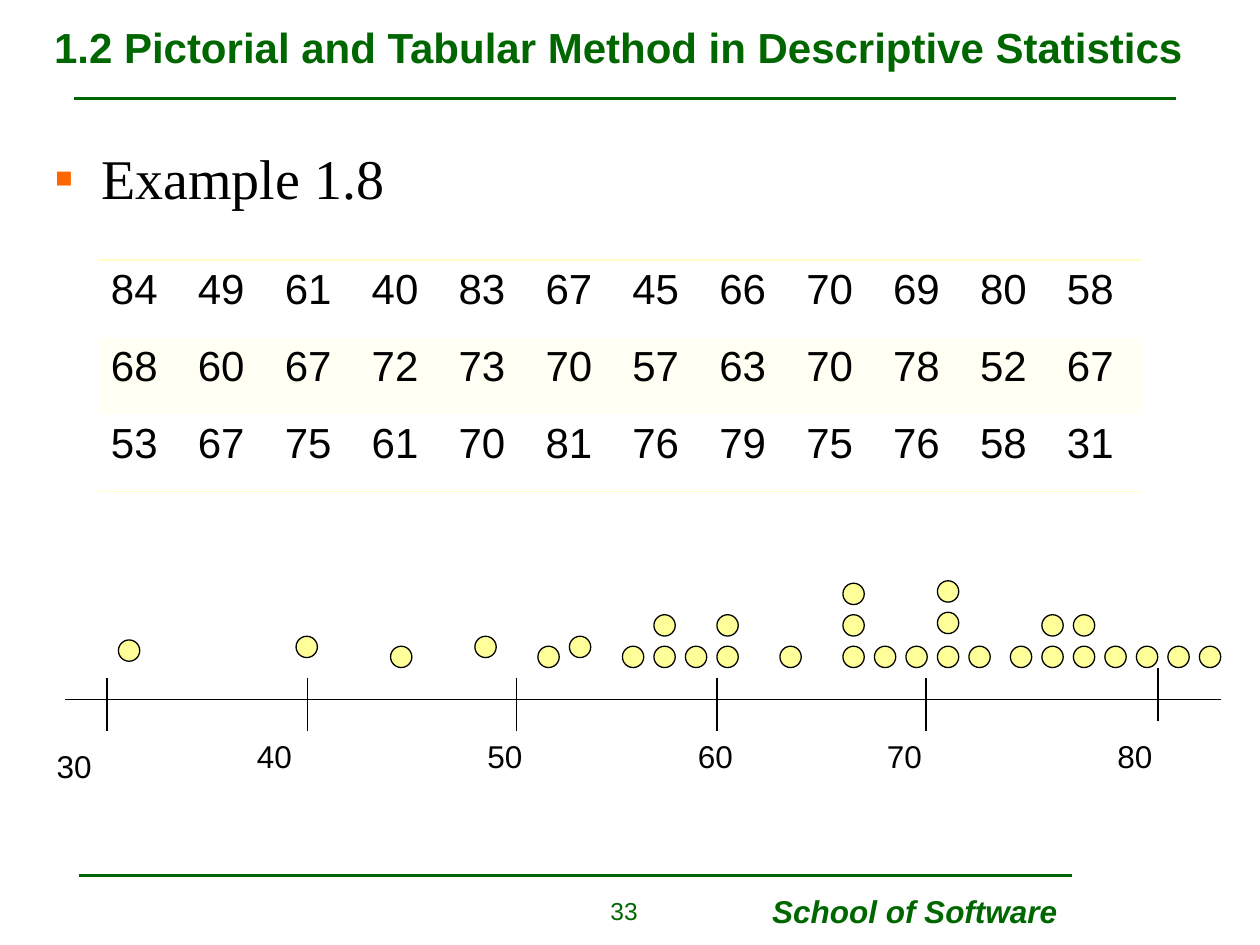
import pptx
import pptx.dml.color
import pptx.enum.shapes
import pptx.enum.text
import pptx.oxml
import pptx.oxml.ns
import pptx.util
from lxml import etree

Pt = pptx.util.Pt
qn = pptx.oxml.ns.qn
ALIGN = pptx.enum.text.PP_ALIGN
ANCHOR = pptx.enum.text.MSO_ANCHOR
AUTO_SIZE = pptx.enum.text.MSO_AUTO_SIZE
COLORS = {"green": "006600", "black": "000000", "bullet": "FF6600",
          "dot": "FFFF99", "band": "FFFFCA"}
SCORES = [
    [84, 49, 61, 40, 83, 67, 45, 66, 70, 69, 80, 58],
    [68, 60, 67, 72, 73, 70, 57, 63, 70, 78, 52, 67],
    [53, 67, 75, 61, 70, 81, 76, 79, 75, 76, 58, 31],
]
TICKS = [(36, 55.4), (150.5, 55.4), (270, 55.4), (384.5, 55.4), (504, 55.4), (636.5, 49.7)]
LABELS = [(0, 91.4), (114.5, 85.7), (246.2, 85.7), (366.5, 85.7), (474.5, 85.7), (606.2, 85.7)]
DOT_RUNS = [
    (42.5, 33.8, [1]), (144, 31.7, [1]), (198, 37.4, [1]), (246.2, 31.7, [1]),
    (282.2, 37.4, [1]), (300.2, 31.7, [1]),
    (330.5, 37.4, [1, 2, 1, 2, 0, 1, 0, 3, 1, 1, 1, 1]),
    (510.5, 18, [2]), (552.2, 37.4, [1, 2, 2, 1, 1, 1, 1]),
]
DOT_SIZE = 12.2
DOT_PITCH = 18


def rgb(name):
    """Return the named colour."""
    return pptx.dml.color.RGBColor.from_string(COLORS[name])


def add_span(para, text, size, color="black", font="Arial", bold=False, italic=False):
    """Add one styled run to a paragraph."""
    span = para.add_run()
    span.text = text
    span.font.name = font
    span.font.size = Pt(size)
    span.font.bold = bold
    span.font.italic = italic
    span.font.color.rgb = rgb(color)


def add_box(shapes, left, top, width, height, wrap=True):
    """Add an empty text box and return it with its first paragraph."""
    box = shapes.add_textbox(Pt(left), Pt(top), Pt(width), Pt(height))
    box.text_frame.word_wrap = wrap
    return box, box.text_frame.paragraphs[0]


def add_line(shapes, x1, y1, x2, y2, color, width):
    """Add a straight line without a shadow."""
    line = shapes.add_connector(pptx.enum.shapes.MSO_CONNECTOR.STRAIGHT,
                                Pt(x1), Pt(y1), Pt(x2), Pt(y2))
    line.line.color.rgb = rgb(color)
    line.line.width = Pt(width)
    etree.SubElement(line._element.spPr, qn("a:effectLst"))


def add_header(shapes, left, top, width, height):
    """Place the title and the rule below it."""
    box, para = add_box(shapes, left, top, width, height)
    box.text_frame.vertical_anchor = ANCHOR.MIDDLE
    add_span(para, "1.2 Pictorial and Tabular Method in Descriptive Statistics",
             24, "green", bold=True)
    add_line(shapes, left + 18.7, top + 54, left + 648, top + 54, "green", 1.5)


def add_footer(shapes, left, top, width):
    """Place the bottom rule, the slide number and the school name."""
    add_line(shapes, left, top, left + width, top, "green", 1.5)
    box, para = add_box(shapes, left + 252.7, top + 7.9, 73.4, 25.9)
    para.alignment = ALIGN.RIGHT
    add_span(para, "33", 14, "green")
    box, para = add_box(shapes, left + 388.8, top + 5.8, 180, 28.8, wrap=False)
    box.text_frame.auto_size = AUTO_SIZE.SHAPE_TO_FIT_TEXT
    add_span(para, "School of Software", 18, "green", bold=True, italic=True)


def add_body(shapes, left, top, width, height):
    """Place the bulleted example heading."""
    box, para = add_box(shapes, left, top, width, height)
    props = para._p.get_or_add_pPr()
    props.set("marL", str(Pt(27)))
    props.set("indent", str(Pt(-27)))
    color = etree.SubElement(props, qn("a:buClr"))
    etree.SubElement(color, qn("a:srgbClr"), val=COLORS["bullet"])
    etree.SubElement(props, qn("a:buFont"), typeface="Arial")
    etree.SubElement(props, qn("a:buChar"), char="▪")
    add_span(para, "Example 1.8", 32, font="Times New Roman")


def style_cell(cell, banded, edges):
    """Set the fill of a cell and draw its named edges."""
    props = cell._tc.get_or_add_tcPr()
    if banded:
        cell.fill.solid()
        cell.fill.fore_color.rgb = rgb("band")
        tint = props.find(".//" + qn("a:srgbClr"))
        etree.SubElement(tint, qn("a:alpha"), val="20000")
    else:
        cell.fill.background()
    for index, edge in enumerate(edges):
        border = etree.Element(qn("a:" + edge), w=str(Pt(0.75)))
        fill = etree.SubElement(border, qn("a:solidFill"))
        etree.SubElement(fill, qn("a:srgbClr"), val=COLORS["band"])
        props.insert(index, border)


def add_scores(shapes, left, top, width, height):
    """Place the table of scores."""
    rows, columns = len(SCORES), len(SCORES[0])
    table = shapes.add_table(rows, columns, Pt(left), Pt(top), Pt(width), Pt(height)).table
    table.first_row = False
    table.horz_banding = False
    style = table._tbl.tblPr.find(qn("a:tableStyleId"))
    style.text = "{2D5ABB26-0587-4C30-8999-92F81FD0307C}"
    edges = [["lnT"], [], ["lnB"]]
    for r, scores in enumerate(SCORES):
        for c, score in enumerate(scores):
            cell = table.cell(r, c)
            style_cell(cell, r == 1, edges[r])
            add_span(cell.text_frame.paragraphs[0], str(score), 24)


def add_dot(shapes, left, top):
    """Add one dot of the plot."""
    dot = shapes.add_shape(pptx.enum.shapes.MSO_SHAPE.OVAL,
                           Pt(left), Pt(top), Pt(DOT_SIZE), Pt(DOT_SIZE))
    dot.shadow.inherit = False
    dot.fill.solid()
    dot.fill.fore_color.rgb = rgb("dot")
    dot.line.color.rgb = rgb("black")
    dot.line.width = Pt(0.75)


def add_dot_plot(shapes, left, top, width):
    """Place the dot plot with its axis, ticks, labels and stacked dots."""
    plot = shapes.add_group_shape().shapes
    add_line(plot, left + 12.2, top + 67.7, left + width, top + 67.7, "black", 0.75)
    for x, y in TICKS:
        add_line(plot, left + x, top + y, left + x, top + y + 30.2, "black", 0.75)
    for index, (x, y) in enumerate(LABELS):
        box, para = add_box(plot, left + x, top + y, 66.2, 28.8)
        add_span(para, str(30 + 10 * index), 18)
    for start, base, counts in DOT_RUNS:
        for column, count in enumerate(counts):
            for level in range(count):
                add_dot(plot, left + start + column * DOT_PITCH,
                        top + base - level * DOT_PITCH)


def main():
    """Build the slide and save the deck."""
    deck = pptx.Presentation()
    deck.slide_width, deck.slide_height = Pt(720), Pt(540)
    page = deck.slides.add_slide(deck.slide_layouts[6])
    add_footer(page.shapes, 45.4, 500.4, 567.4)
    add_body(page.shapes, 23.8, 78.5, 672.5, 416.2)
    add_header(page.shapes, 23.8, 2.2, 672.5, 49)
    add_dot_plot(page.shapes, 25.2, 331.9, 672.5)
    add_scores(page.shapes, 56.2, 148.6, 596.2, 132.5)
    deck.save("out.pptx")


if __name__ == "__main__":
    main()
